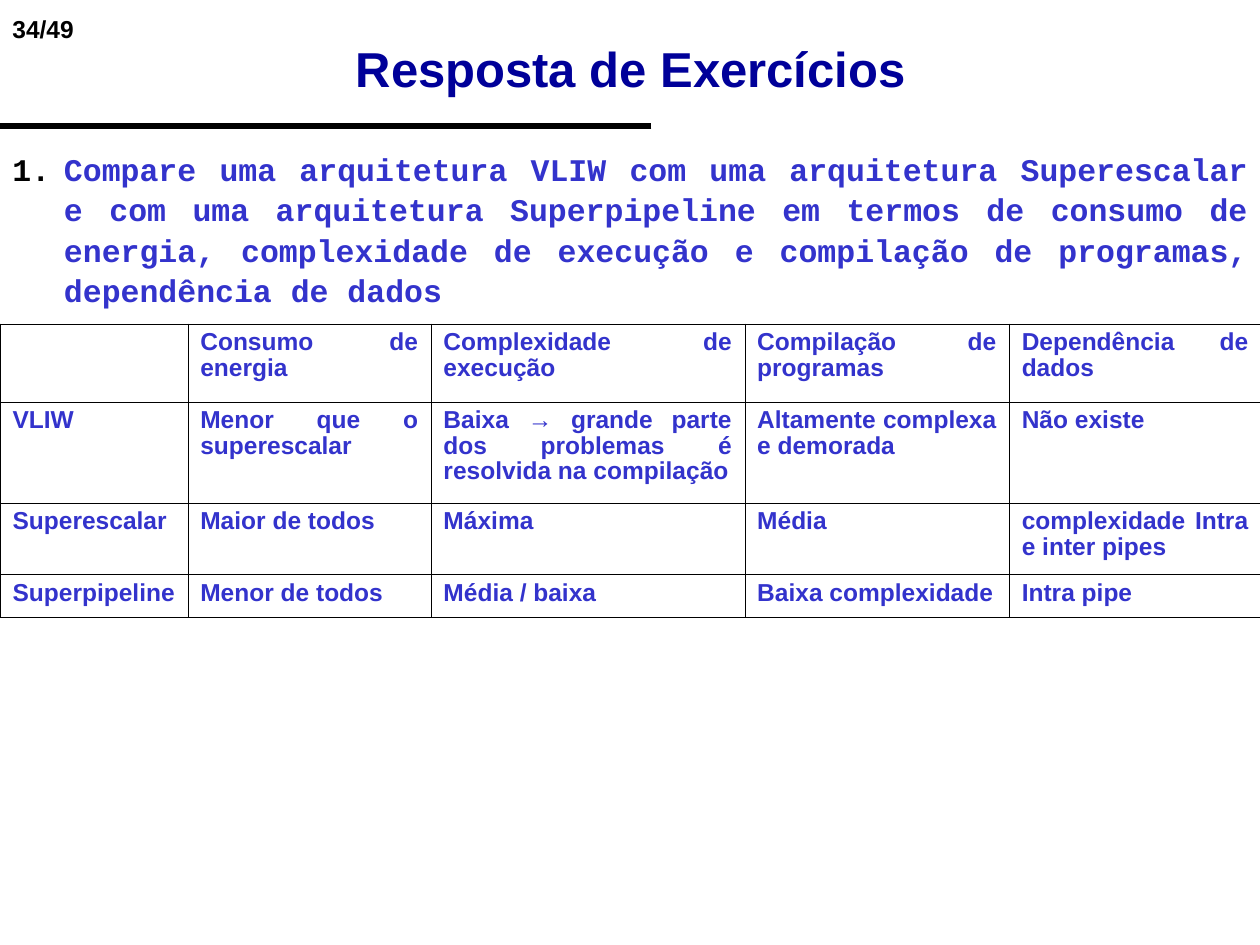
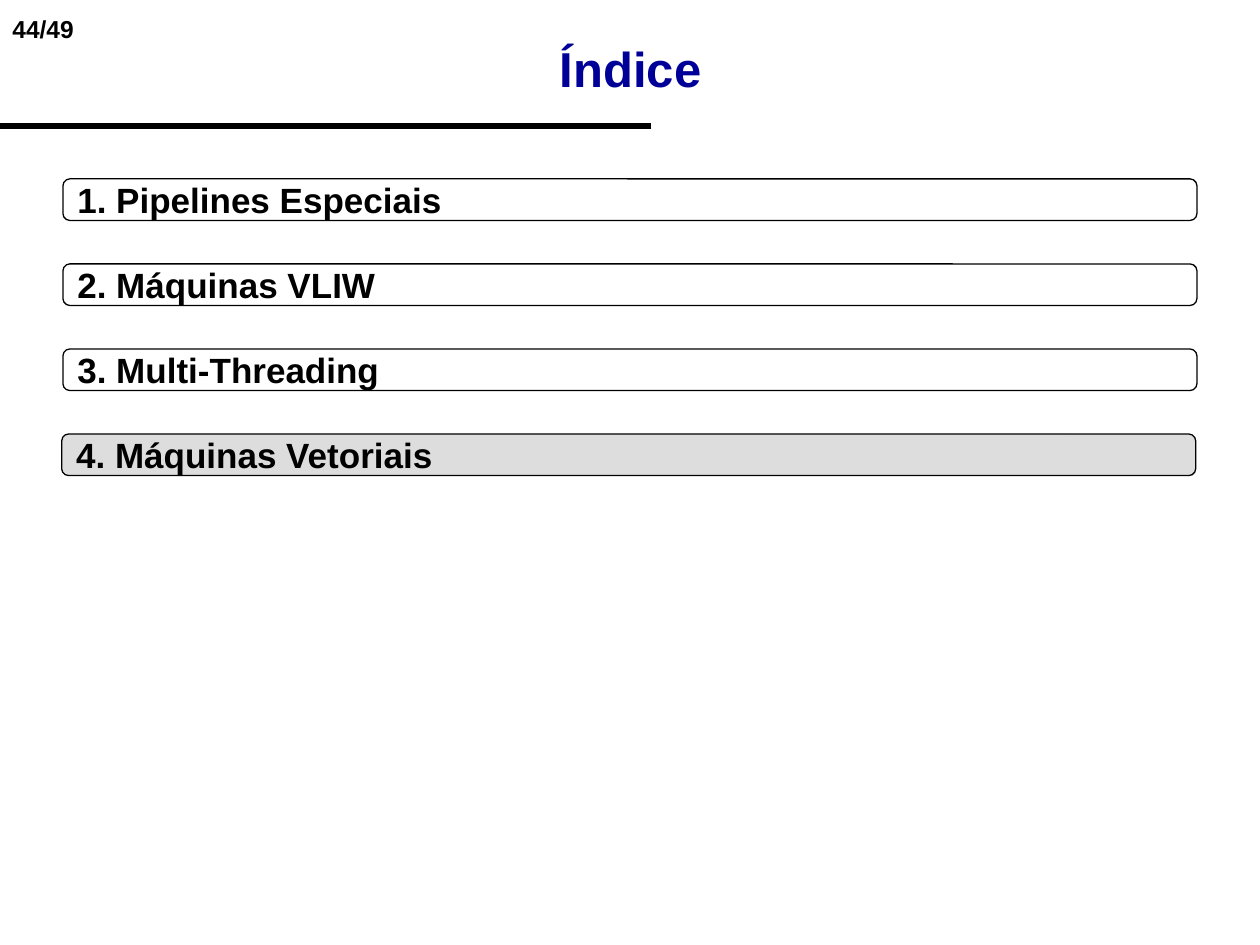
import dataclasses

import lxml.etree
import pptx
import pptx.dml.color
import pptx.enum.shapes
import pptx.enum.text
import pptx.oxml.ns
import pptx.util

Inches = pptx.util.Inches
Pt = pptx.util.Pt
Align = pptx.enum.text.PP_ALIGN
Anchor = pptx.enum.text.MSO_ANCHOR
qn = pptx.oxml.ns.qn


@dataclasses.dataclass(frozen=True)
class Theme:
    """Fonts, colours and type sizes shared by the slides."""
    sans: str = "Arial"
    mono: str = "Courier New"
    ink: str = "000000"
    title: str = "000099"
    answer: str = "3333CC"
    current: str = "DDDDDD"
    small_size: float = 14
    question_size: float = 18
    topic_size: float = 20
    title_size: float = 28
    rule_width: float = 3
    outline_width: float = 0.75
    grid_width: float = 0.11
    frame_width: float = 0.23


THEME = Theme()

COMPARISON = [
    ["", "Consumo de energia", "Complexidade de execução",
     "Compilação de programas", "Dependência de dados"],
    ["VLIW", "Menor que o superescalar",
     "Baixa → grande parte dos problemas é resolvida na compilação",
     "Altamente complexa e demorada", "Não existe"],
    ["Superescalar", "Maior de todos", "Máxima", "Média",
     "complexidade Intra e inter pipes"],
    ["Superpipeline", "Menor de todos", "Média / baixa",
     "Baixa complexidade", "Intra pipe"],
]
COLUMN_WIDTHS = [1.49, 1.93, 2.49, 2.1, 2]
ROW_HEIGHTS = [0.62, 0.8, 0.57, 0.34]
TOPICS = ["Pipelines Especiais", "Máquinas VLIW", "Multi-Threading",
          "Máquinas Vetoriais"]


def rgb(value):
    """Return a colour from its hexadecimal value."""
    return pptx.dml.color.RGBColor.from_string(value)


def write(frame, text, size, color, align, font=THEME.sans):
    """Write one bold run in the first paragraph and return the paragraph."""
    frame.word_wrap = True
    paragraph = frame.paragraphs[0]
    paragraph.alignment = align
    run = paragraph.add_run()
    run.text = text
    run.font.name = font
    run.font.size = Pt(size)
    run.font.bold = True
    run.font.color.rgb = rgb(color)
    return paragraph


def add_label(slide, box, text, size, color, align=Align.LEFT,
              anchor=Anchor.TOP, font=THEME.sans):
    """Add a text box and return its paragraph."""
    frame = slide.shapes.add_textbox(*map(Inches, box)).text_frame
    frame.vertical_anchor = anchor
    return write(frame, text, size, color, align, font)


def add_titled_slide(deck, title, page):
    """Add a blank slide with page number, title and header rule."""
    slide = deck.slides.add_slide(deck.slide_layouts[6])
    add_label(slide, (0, 0.06, 1.41, 0.34), page, THEME.small_size, THEME.ink)
    rule = slide.shapes.add_connector(
        pptx.enum.shapes.MSO_CONNECTOR.STRAIGHT,
        Inches(5.17), Inches(1), Inches(0), Inches(1))
    rule.line.color.rgb = rgb(THEME.ink)
    rule.line.width = Pt(THEME.rule_width)
    lxml.etree.SubElement(rule._element.spPr, qn("a:effectLst"))
    add_label(slide, (0.42, 0.33, 9.17, 0.42), title, THEME.title_size,
              THEME.title, Align.CENTER, Anchor.MIDDLE)
    return slide


def add_question(slide, text):
    """Add a justified question numbered with a hanging indent."""
    question = add_label(slide, (0, 1.12, 10, 1.4), text, THEME.question_size,
                         THEME.answer, Align.JUSTIFY, font=THEME.mono)
    question.line_spacing = 1.07
    properties = question._p.get_or_add_pPr()
    properties.set("marL", str(Inches(0.41)))
    properties.set("indent", str(Inches(-0.41)))
    number_color = lxml.etree.SubElement(properties, qn("a:buClr"))
    lxml.etree.SubElement(number_color, qn("a:srgbClr"), val=THEME.ink)
    lxml.etree.SubElement(properties, qn("a:buFont"), typeface=THEME.mono)
    lxml.etree.SubElement(properties, qn("a:buAutoNum"), type="arabicPeriod")


def set_borders(cell, outer_sides):
    """Draw the cell's four borders, with the frame width on outer sides."""
    properties = cell._tc.get_or_add_tcPr()
    for position, side in enumerate("LRTB"):
        width = THEME.frame_width if side in outer_sides else THEME.grid_width
        border = lxml.etree.Element(qn(f"a:ln{side}"), w=str(Pt(width)))
        fill = lxml.etree.SubElement(border, qn("a:solidFill"))
        lxml.etree.SubElement(fill, qn("a:srgbClr"), val=THEME.ink)
        properties.insert(position, border)


def add_comparison(slide, rows):
    """Add the bordered table that compares the architectures."""
    table = slide.shapes.add_table(
        len(rows), len(COLUMN_WIDTHS), Inches(0), Inches(2.57),
        Inches(sum(COLUMN_WIDTHS)), Inches(sum(ROW_HEIGHTS))).table
    table.first_row = table.horz_banding = False
    for column, width in zip(table.columns, COLUMN_WIDTHS):
        column.width = Inches(width)
    for row, height in zip(table.rows, ROW_HEIGHTS):
        row.height = Inches(height)
    last_row, last_column = len(rows) - 1, len(COLUMN_WIDTHS) - 1
    for r, texts in enumerate(rows):
        for c, text in enumerate(texts):
            cell = table.cell(r, c)
            cell.fill.background()
            edges = {"L": c == 0, "R": c == last_column,
                     "T": r == 0, "B": r == last_row}
            set_borders(cell, [side for side in edges if edges[side]])
            if text:
                entry = write(cell.text_frame, text, THEME.small_size,
                              THEME.answer, Align.JUSTIFY)
                entry.line_spacing = 0.93


def add_topic(slide, left, top, text, is_current):
    """Add a rounded index entry, shaded when it is the current one."""
    topic = slide.shapes.add_shape(
        pptx.enum.shapes.MSO_SHAPE.ROUNDED_RECTANGLE,
        Inches(left), Inches(top), Inches(9), Inches(0.33))
    topic.shadow.inherit = False
    topic.line.color.rgb = rgb(THEME.ink)
    topic.line.width = Pt(THEME.outline_width)
    if is_current:
        topic.fill.solid()
        topic.fill.fore_color.rgb = rgb(THEME.current)
    else:
        topic.fill.background()
    topic.text_frame.vertical_anchor = Anchor.MIDDLE
    write(topic.text_frame, text, THEME.topic_size, THEME.ink, Align.JUSTIFY)


def main():
    """Build both slides and save the deck."""
    deck = pptx.Presentation()
    deck.slide_width = Inches(10)
    deck.slide_height = Inches(7.5)

    answers = add_titled_slide(deck, "Resposta de Exercícios", "34/49")
    add_question(answers, "Compare uma arquitetura VLIW com uma arquitetura "
                 "Superescalar e com uma arquitetura Superpipeline em termos "
                 "de consumo de energia, complexidade de execução e "
                 "compilação de programas, dependência de dados")
    add_comparison(answers, COMPARISON)

    index = add_titled_slide(deck, "Índice", "44/49")
    for number, name in enumerate(TOPICS, start=1):
        is_current = number == len(TOPICS)
        add_topic(index, 0.49 if is_current else 0.5,
                  1.42 + 0.675 * (number - 1), f"{number}. {name}", is_current)

    deck.save("out.pptx")


if __name__ == "__main__":
    main()
